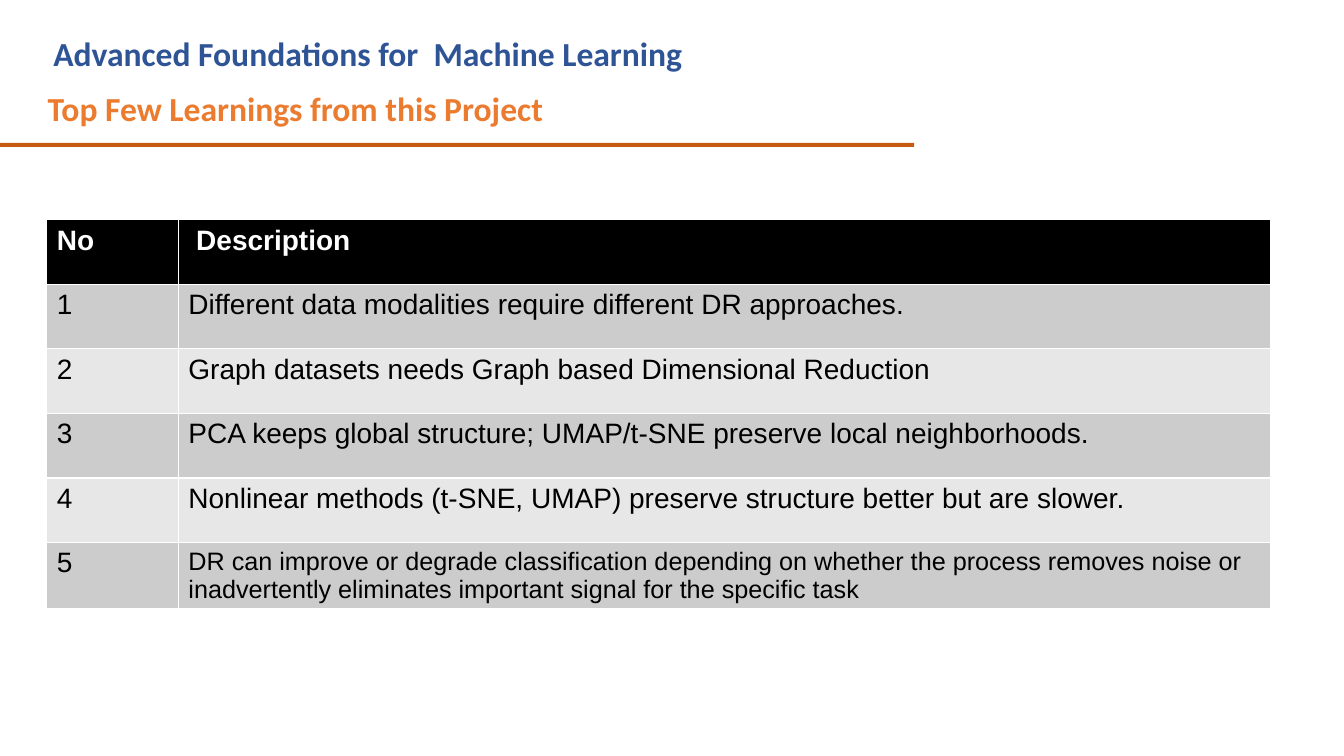
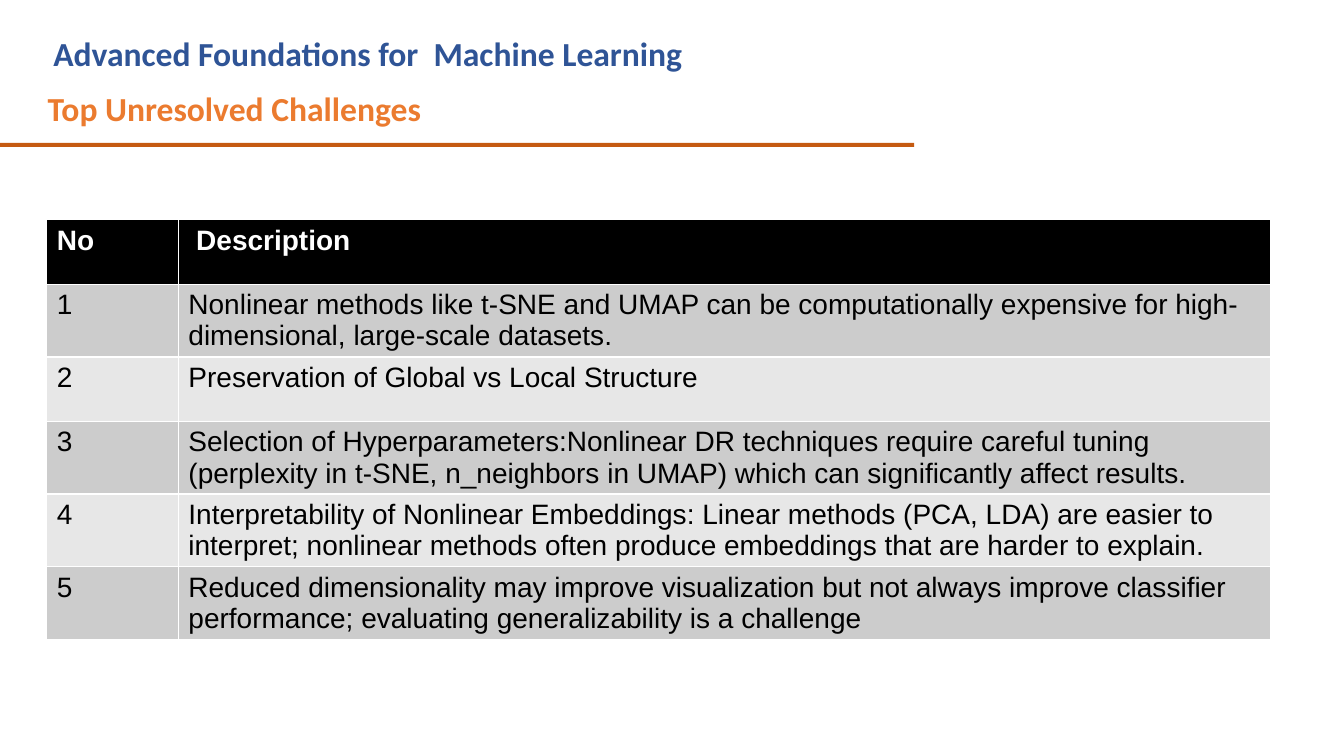
from pptx import Presentation
from pptx.dml.color import RGBColor
from pptx.enum.shapes import MSO_SHAPE
from pptx.enum.text import MSO_ANCHOR, MSO_AUTO_SIZE, PP_ALIGN
from pptx.util import Pt

BLUE = RGBColor(0x2F, 0x54, 0x96)
ORANGE = RGBColor(0xEB, 0x7B, 0x2F)
RUST = RGBColor(0xC5, 0x5A, 0x11)
BLACK = RGBColor(0x00, 0x00, 0x00)
WHITE = RGBColor(0xFF, 0xFF, 0xFF)
DARK_BAND = RGBColor(0xCC, 0xCC, 0xCC)
LIGHT_BAND = RGBColor(0xE7, 0xE7, 0xE7)

HEADING_FONT = "Calibri"
TABLE_FONT = "Arial"
COURSE = "Advanced Foundations for  Machine Learning"
TITLE_ONLY = 5

HEADER_BOX = (0, 20, 653, 85)
TABLE_BOX = (33.4, 157, 874, 276.6)
NUMBER_WIDTH = 94
CELL_INSET = 7.2
DESCRIPTION_INDENT = 5.56

LEARNINGS = [
    ("Different data modalities require different DR approaches.", 20),
    ("Graph datasets needs Graph based Dimensional Reduction", 20),
    ("PCA keeps global structure; UMAP/t-SNE preserve local neighborhoods.", 20),
    ("Nonlinear methods (t-SNE, UMAP) preserve structure better but are slower.", 20),
    ("DR can improve or degrade classification depending on whether the process removes "
     "noise or inadvertently eliminates important signal for the specific task", 18),
]
CHALLENGES = [
    ("Nonlinear methods like t-SNE and UMAP can be computationally expensive for "
     "high-dimensional, large-scale datasets.", 20),
    ("Preservation of Global vs Local Structure", 20),
    ("Selection of Hyperparameters:Nonlinear DR techniques require careful tuning "
     "(perplexity in t-SNE, n_neighbors in UMAP) which can significantly affect results.", 20),
    ("Interpretability of Nonlinear Embeddings: Linear methods (PCA, LDA) are easier to "
     "interpret; nonlinear methods often produce embeddings that are harder to explain.", 20),
    ("Reduced dimensionality may improve visualization but not always improve classifier "
     "performance; evaluating generalizability is a challenge", 20),
]


def set_font(paragraph, name, size, color, bold=False):
    font = paragraph.font
    font.name = name
    font.size = Pt(size)
    font.bold = bold
    font.color.rgb = color


def write_heading(shape, text, color):
    frame = shape.text_frame
    frame.word_wrap = True
    frame.auto_size = MSO_AUTO_SIZE.NONE
    frame.vertical_anchor = MSO_ANCHOR.TOP
    frame.text = text
    paragraph = frame.paragraphs[0]
    paragraph.alignment = PP_ALIGN.LEFT
    set_font(paragraph, HEADING_FONT, 24, color, bold=True)
    return frame


def add_header(page, box, title_text):
    left, top, width, height = box
    rule = page.shapes.add_shape(
        MSO_SHAPE.RECTANGLE, Pt(left), Pt(top + height - 2.9), Pt(width), Pt(2.9))
    rule.shadow.inherit = False
    rule.fill.solid()
    rule.fill.fore_color.rgb = RUST
    rule.line.fill.background()

    course = page.shapes.add_textbox(Pt(left + 31), Pt(top), Pt(590), Pt(36))
    write_heading(course, COURSE, BLUE)

    title = page.shapes.title
    title.left, title.top = Pt(left + 33.4), Pt(top + 32)
    title.width, title.height = Pt(428), Pt(40)
    frame = write_heading(title, title_text, ORANGE)
    frame.margin_left = frame.margin_top = Pt(0.7)
    frame.margin_right = frame.margin_bottom = Pt(0)
    frame.paragraphs[0].line_spacing = 1.35


def fill_cell(cell, text, size, text_color, fill_color, bold=False):
    cell.fill.solid()
    cell.fill.fore_color.rgb = fill_color
    cell.text = text
    set_font(cell.text_frame.paragraphs[0], TABLE_FONT, size, text_color, bold)


def add_description_table(page, box, entries):
    left, top, width, height = box
    table = page.shapes.add_table(
        len(entries) + 1, 2, Pt(left), Pt(top), Pt(width), Pt(height)).table
    table.columns[0].width = Pt(NUMBER_WIDTH)
    table.columns[1].width = Pt(width - NUMBER_WIDTH)

    for column, label in enumerate(("No", "Description")):
        fill_cell(table.cell(0, column), label, 20, WHITE, BLACK, bold=True)
    table.cell(0, 1).margin_left = Pt(CELL_INSET + DESCRIPTION_INDENT)

    for number, (description, size) in enumerate(entries, start=1):
        band = DARK_BAND if number % 2 else LIGHT_BAND
        fill_cell(table.cell(number, 0), str(number), 20, BLACK, band)
        fill_cell(table.cell(number, 1), description, size, BLACK, band)


def add_page(deck, title_text, entries):
    page = deck.slides.add_slide(deck.slide_layouts[TITLE_ONLY])
    add_header(page, HEADER_BOX, title_text)
    add_description_table(page, TABLE_BOX, entries)


def main():
    deck = Presentation()
    deck.slide_width, deck.slide_height = Pt(960), Pt(540)
    add_page(deck, "Top Few Learnings from this Project", LEARNINGS)
    add_page(deck, "Top Unresolved Challenges", CHALLENGES)
    deck.save("out.pptx")


if __name__ == "__main__":
    main()
